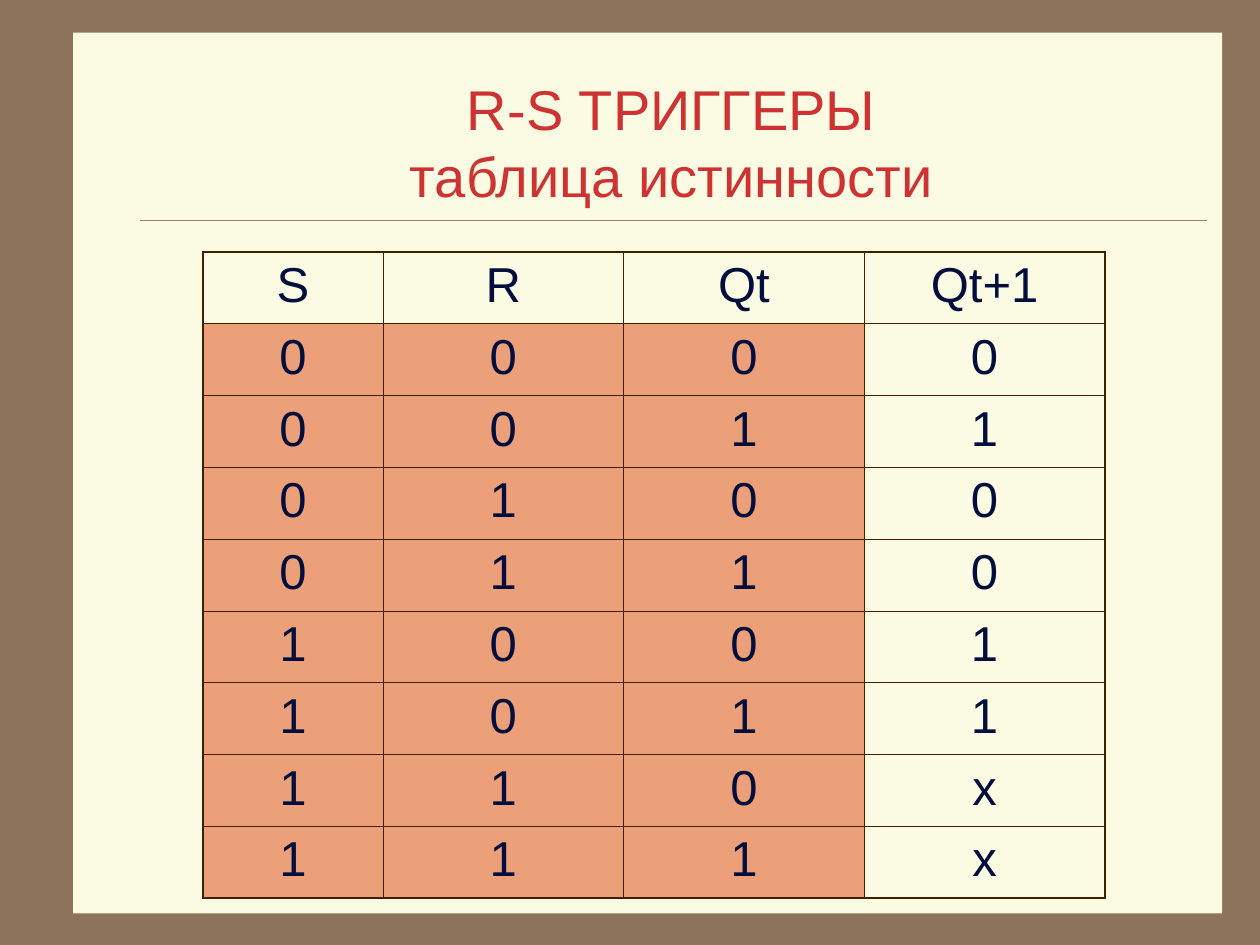
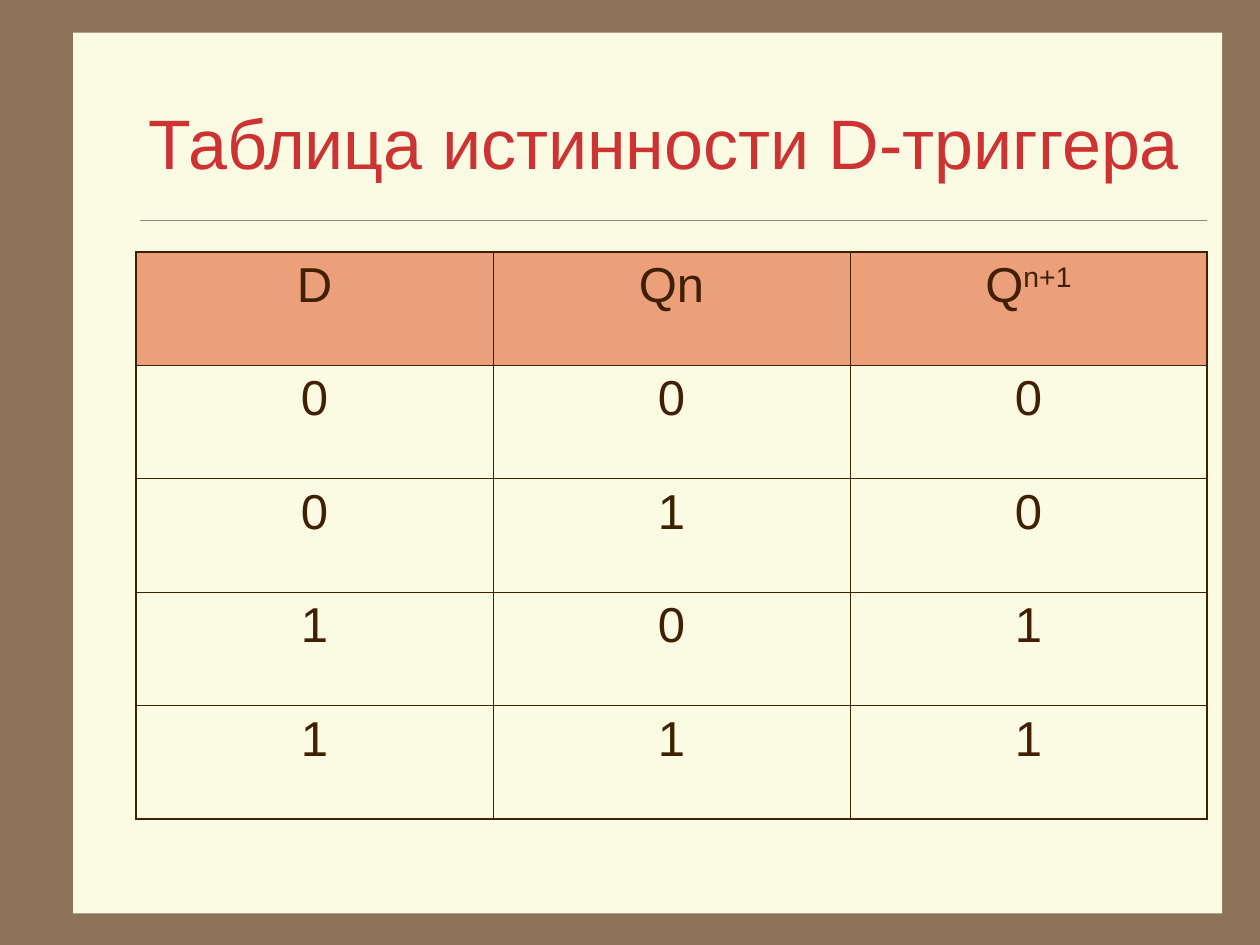
from lxml import etree
from pptx import Presentation
from pptx.dml.color import RGBColor
from pptx.enum.shapes import MSO_CONNECTOR, MSO_SHAPE
from pptx.enum.text import MSO_ANCHOR, MSO_AUTO_SIZE, PP_ALIGN
from pptx.oxml.ns import qn
from pptx.util import Inches, Pt

RECT = MSO_SHAPE.RECTANGLE
STRAIGHT = MSO_CONNECTOR.STRAIGHT
MIDDLE = MSO_ANCHOR.MIDDLE
NO_FIT = MSO_AUTO_SIZE.NONE
LEFT, CENTER = PP_ALIGN.LEFT, PP_ALIGN.CENTER

BROWN = RGBColor(0x8C, 0x73, 0x5A)
CREAM = RGBColor(0xFB, 0xFA, 0xE2)
TAN = RGBColor(0xA0, 0x83, 0x66)
RED = RGBColor(0xCD, 0x33, 0x33)
NAVY = RGBColor(0x03, 0x0E, 0x3D)
DARK = RGBColor(0x40, 0x20, 0x00)
SALMON = RGBColor(0xEC, 0xA0, 0x7A)
FONT = "Arial"
OUTER, INNER = 1.08, 0.45


def write(p, text, size, color, align=CENTER, before=0):
    p.alignment = align
    p.space_before = Pt(before)
    for i, line in enumerate(text.split("\n")):
        if i:
            p.add_line_break()
        for j, part in enumerate(line.split("^")):
            r = p.add_run()
            r.text = part
            r.font.name = FONT
            r.font.size = Pt(size)
            r.font.color.rgb = color
            if j:
                r.font._element.set("baseline", "30000")


def set_borders(cell, widths):
    tcPr = cell._tc.get_or_add_tcPr()
    for i, (side, width) in enumerate(widths.items()):
        ln = etree.Element(qn(f"a:ln{side}"), w=str(Pt(width)))
        fill = etree.SubElement(ln, qn("a:solidFill"))
        etree.SubElement(fill, qn("a:srgbClr"), val=str(DARK))
        tcPr.insert(i, ln)


SLIDES = [
    dict(
        title="R-S ТРИГГЕРЫ\nтаблица истинности", title_size=32, title_align=CENTER,
        left=1.61, cols=[1.43, 1.91, 1.91, 1.91], row_height=0.57, color=NAVY,
        rows=[["S", "R", "Qt", "Qt+1"], "0000", "0011", "0100", "0110",
              "1001", "1011", "110х", "111х"],
        fill=lambda row, col: SALMON if row > 0 and col < 3 else CREAM,
    ),
    dict(
        title="Таблица истинности D-триггера", title_size=40, title_align=LEFT,
        left=1.08, cols=[8.5 / 3] * 3, row_height=0.9, color=DARK,
        rows=[["D", "Qn", "Q^n+1"], "000", "010", "101", "111"],
        fill=lambda row, col: SALMON if row == 0 else None,
    ),
]

prs = Presentation()
prs.slide_width, prs.slide_height = Inches(10), Inches(7.5)
layout = prs.slide_layouts[5]
layout.background.fill.solid()
layout.background.fill.fore_color.rgb = BROWN
slides = [prs.slides.add_slide(layout) for _ in SLIDES]

panel = slides[0].shapes.add_shape(RECT, Inches(0.58), Inches(0.26), Inches(9.12), Inches(6.99))
panel.shadow.inherit = False
panel.fill.solid()
panel.fill.fore_color.rgb = CREAM
panel.line.fill.background()

rule = slides[0].shapes.add_connector(STRAIGHT, Inches(1.11), Inches(1.75), Inches(9.58), Inches(1.75))
rule.line.color.rgb = TAN
rule.line.width = Pt(0.25)
etree.SubElement(rule._element.spPr, qn("a:effectLst"))

for i, sp in enumerate([panel, rule]):
    layout.shapes._spTree.insert(2 + i, sp._element)

for s, data in zip(slides, SLIDES):
    title = s.shapes.title
    title.left, title.top = Inches(1.08), Inches(0.5)
    title.width, title.height = Inches(8.5), Inches(1.25)
    tf = title.text_frame
    tf.auto_size = NO_FIT
    tf.word_wrap = True
    tf.vertical_anchor = MIDDLE
    write(tf.paragraphs[0], data["title"], data["title_size"], RED, align=data["title_align"])

    rows, cols = data["rows"], data["cols"]
    table = s.shapes.add_table(
        len(rows), len(cols), Inches(data["left"]), Inches(2),
        Inches(sum(cols)), Inches(data["row_height"] * len(rows))).table
    table.first_row = table.horz_banding = False
    for column, width in zip(table.columns, cols):
        column.width = Inches(width)
    for i, texts in enumerate(rows):
        table.rows[i].height = Inches(data["row_height"])
        for j, text in enumerate(texts):
            cell = table.cell(i, j)
            color = data["fill"](i, j)
            if color is None:
                cell.fill.background()
            else:
                cell.fill.solid()
                cell.fill.fore_color.rgb = color
            set_borders(cell, {
                "L": OUTER if j == 0 else INNER,
                "R": OUTER if j == len(cols) - 1 else INNER,
                "T": OUTER if i == 0 else INNER,
                "B": OUTER if i == len(rows) - 1 else INNER,
            })
            write(cell.text_frame.paragraphs[0], text, 28, data["color"], before=7)

prs.save("out.pptx")
